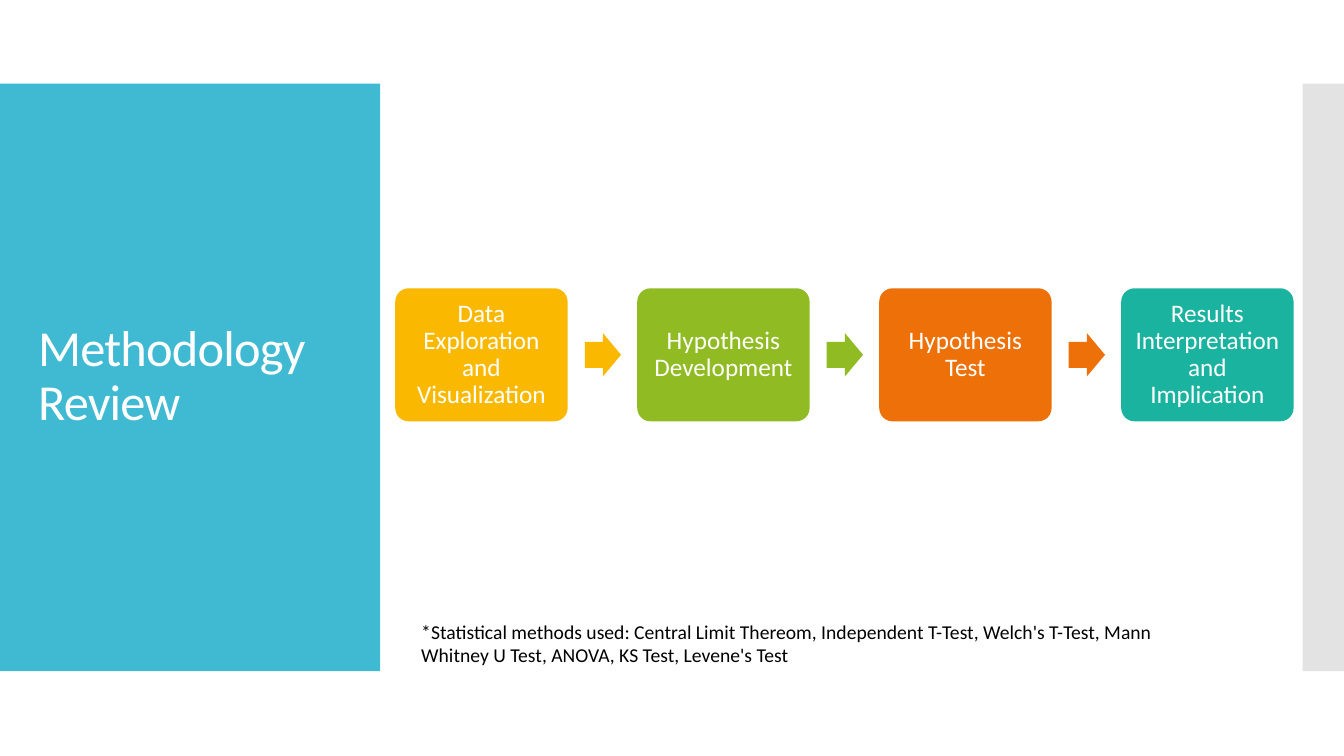
from dataclasses import dataclass

from lxml import etree
from pptx import Presentation
from pptx.dml.color import RGBColor
from pptx.enum.shapes import MSO_SHAPE
from pptx.enum.text import MSO_ANCHOR, PP_ALIGN
from pptx.oxml.ns import qn
from pptx.util import Inches, Pt

RECT, ROUNDED, ARROW = MSO_SHAPE.RECTANGLE, MSO_SHAPE.ROUNDED_RECTANGLE, MSO_SHAPE.RIGHT_ARROW
LEFT, CENTER = PP_ALIGN.LEFT, PP_ALIGN.CENTER
TOP, MIDDLE = MSO_ANCHOR.TOP, MSO_ANCHOR.MIDDLE


@dataclass(frozen=True)
class Theme:
    font: str = "Calibri"
    panel: str = "40BAD2"
    strip: str = "C8C8C8"
    light: str = "FFFFFF"
    dark: str = "000000"
    steps: tuple = ("FAB900", "90BB23", "EE7008", "1AB39F")
    title_size: int = 36
    step_size: int = 18
    note_size: int = 14


theme = Theme()
prs = Presentation()
prs.slide_width, prs.slide_height = Inches(13.33), Inches(7.5)
slide = prs.slides.add_slide(prs.slide_layouts[6])


def add_block(kind, left, top, width, height, color, adjustments=()):
    """Add a flat, borderless preset shape."""
    block = slide.shapes.add_shape(kind, Inches(left), Inches(top), Inches(width), Inches(height))
    block.shadow.inherit = False
    block.fill.solid()
    block.fill.fore_color.rgb = RGBColor.from_string(color)
    block.line.fill.background()
    for i, value in enumerate(adjustments):
        block.adjustments[i] = value
    return block


def write(holder, text, size, color, align=LEFT, anchor=TOP, spacing=1.0,
          inset_x=0.1, inset_y=0.05, tracking=0):
    """Fill a shape or text box; tracking is in hundredths of a point."""
    frame = holder.text_frame
    frame.word_wrap = True
    frame.vertical_anchor = anchor
    frame.margin_left = frame.margin_right = Inches(inset_x)
    frame.margin_top = frame.margin_bottom = Inches(inset_y)
    paragraph = frame.paragraphs[0]
    paragraph.alignment = align
    paragraph.line_spacing = spacing
    run = paragraph.add_run()
    run.text = text
    run.font.name = theme.font
    run.font.size = Pt(size)
    run.font.color.rgb = RGBColor.from_string(color)
    if tracking:
        run.font._element.set("spc", str(tracking))


# Side panels
BAND_TOP, BAND_HEIGHT = 0.83, 5.83
add_block(RECT, 0, BAND_TOP, 3.77, BAND_HEIGHT, theme.panel)
strip = add_block(RECT, 12.92, BAND_TOP, 0.41, BAND_HEIGHT, theme.strip)
strip_color = strip._element.spPr.find(qn("a:solidFill"))[0]
etree.SubElement(strip_color, qn("a:alpha")).set("val", "50000")

title = slide.shapes.add_textbox(Inches(0.28), Inches(1.23), Inches(3.22), Inches(5.03))
write(title, "Methodology Review", theme.title_size, theme.light,
      anchor=MIDDLE, spacing=0.9, tracking=-60)

# Process steps, each followed by an arrow in its own color
STEPS = ["Data Exploration and Visualization", "Hypothesis Development",
         "Hypothesis Test", "Results Interpretation and Implication"]
FIRST_LEFT, PITCH = 3.92, 2.4
STEP_TOP, STEP_WIDTH, STEP_HEIGHT = 2.86, 1.71, 1.32
ARROW_OFFSET, ARROW_WIDTH, ARROW_HEIGHT = 1.88, 0.36, 0.43
arrow_top = STEP_TOP + (STEP_HEIGHT - ARROW_HEIGHT) / 2

for i, (label, color) in enumerate(zip(STEPS, theme.steps)):
    left = FIRST_LEFT + i * PITCH
    step = add_block(ROUNDED, left, STEP_TOP, STEP_WIDTH, STEP_HEIGHT, color, [0.1])
    write(step, label, theme.step_size, theme.light, align=CENTER, anchor=MIDDLE,
          spacing=0.9, inset_x=0.09, inset_y=0.09)
    if i < len(STEPS) - 1:
        add_block(ARROW, left + ARROW_OFFSET, arrow_top, ARROW_WIDTH, ARROW_HEIGHT,
                  color, [0.6, 0.5])

methods_note = slide.shapes.add_textbox(Inches(4.08), Inches(6.1), Inches(8), Inches(0.57))
write(methods_note,
      "*Statistical methods used: Central Limit Thereom, Independent T-Test, Welch's T-Test, "
      "Mann Whitney U Test, ANOVA, KS Test, Levene's Test",
      theme.note_size, theme.dark)

prs.save("out.pptx")
